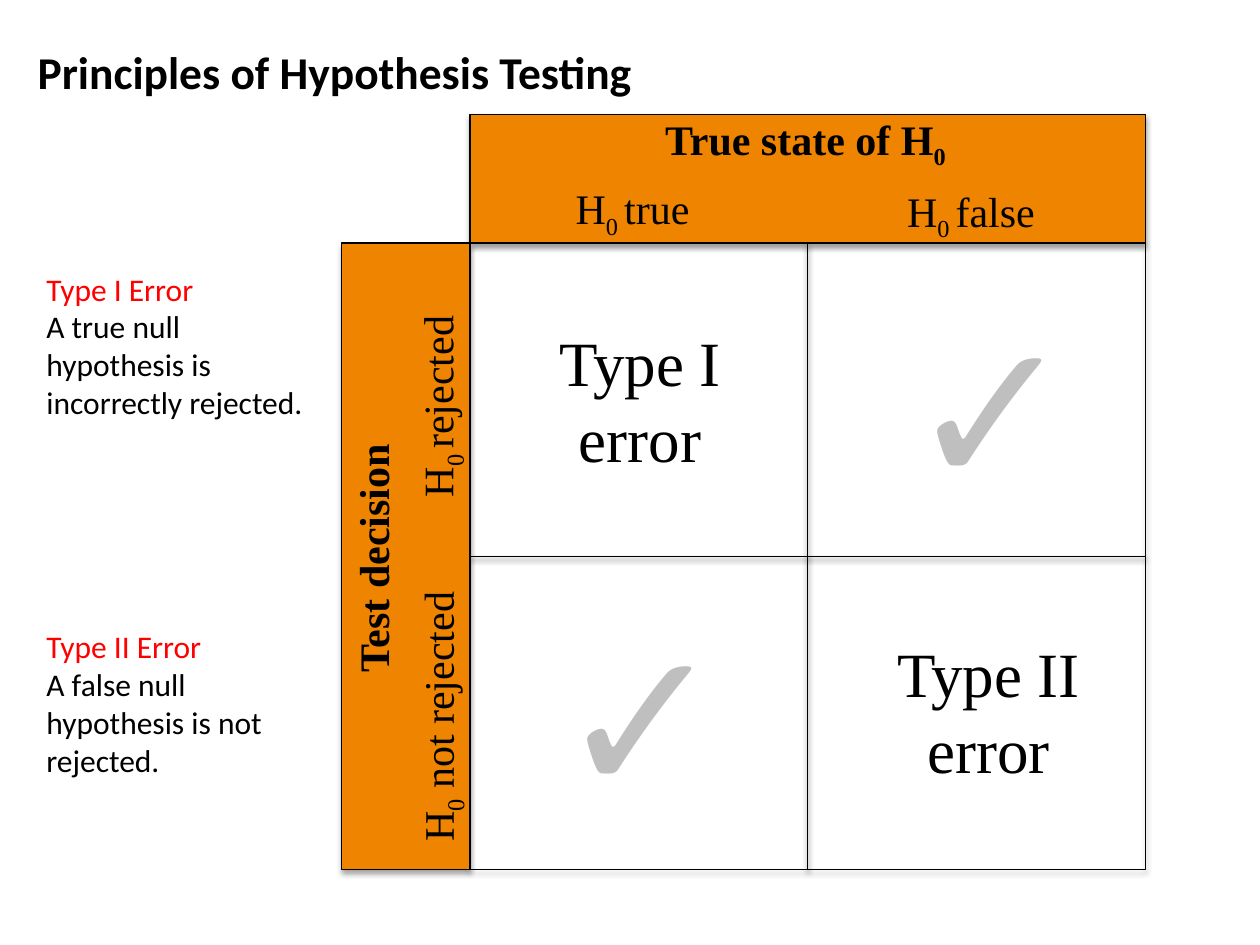
from dataclasses import dataclass

from lxml import etree
from pptx import Presentation
from pptx.dml.color import RGBColor
from pptx.enum.shapes import MSO_SHAPE
from pptx.enum.text import MSO_ANCHOR, PP_ALIGN
from pptx.oxml.ns import qn
from pptx.util import Inches, Pt

RECTANGLE = MSO_SHAPE.RECTANGLE
MIDDLE = MSO_ANCHOR.MIDDLE
TOP = MSO_ANCHOR.TOP
CENTER = PP_ALIGN.CENTER
LEFT = PP_ALIGN.LEFT
BLANK_LAYOUT = 6


@dataclass(frozen=True)
class Theme:
    black: RGBColor = RGBColor(0x00, 0x00, 0x00)
    orange: RGBColor = RGBColor(0xEF, 0x84, 0x00)
    grey: RGBColor = RGBColor(0xBF, 0xBF, 0xBF)
    red: RGBColor = RGBColor(0xFF, 0x00, 0x00)
    sans: str = "Calibri"
    serif: str = "Times New Roman"
    symbol: str = "Arial"
    title_size: int = 26
    header_size: int = 24
    cell_size: int = 36
    note_size: int = 18
    check_size: int = 115


THEME = Theme()
GRID_LEFT, GRID_TOP = 3.73, 1.93
CELL_WIDTH, CELL_HEIGHT = 2.68, 2.485
BAND = 1.02


def add_shadow(shape):
    shape.shadow.inherit = False
    effects = shape._element.spPr.find(qn("a:effectLst"))
    shadow = etree.SubElement(
        effects, qn("a:outerShdw"), blurRad=str(Pt(3.1)), dist=str(Pt(1.8)),
        dir="5400000", rotWithShape="0")
    color = etree.SubElement(shadow, qn("a:srgbClr"), val=str(THEME.black))
    etree.SubElement(color, qn("a:alpha"), val="35000")


def add_box(slide, left, top, width, height, fill=None):
    shape = slide.shapes.add_shape(
        RECTANGLE, Inches(left), Inches(top), Inches(width), Inches(height))
    if fill is None:
        shape.fill.background()
    else:
        shape.fill.solid()
        shape.fill.fore_color.rgb = fill
    shape.line.color.rgb = THEME.black
    shape.line.width = Pt(0.75)
    add_shadow(shape)


def format_run(run, font, size, color, bold=False):
    run.font.name = font
    run.font.size = Pt(size)
    run.font.color.rgb = color
    run.font.bold = bold


def add_text(slide, place, text, font, size, color=THEME.black, bold=False,
             align=LEFT, anchor=TOP, wrap=False):
    shape = slide.shapes.add_textbox(*map(Inches, place))
    frame = shape.text_frame
    frame.word_wrap = wrap
    frame.vertical_anchor = anchor
    frame.text = text
    for paragraph in frame.paragraphs:
        paragraph.alignment = align
        for run in paragraph.runs:
            format_run(run, font, size, color, bold)
    return shape


def add_header(slide, place, before, subscript="", after="", bold=False,
               rotation=0):
    shape = add_text(slide, place, before, THEME.serif, THEME.header_size,
                     bold=bold)
    shape.rotation = rotation
    paragraph = shape.text_frame.paragraphs[0]
    for text, baseline in ((subscript, "-25000"), (after, "0")):
        if text:
            run = paragraph.add_run()
            run.text = text
            format_run(run, THEME.serif, THEME.header_size, THEME.black, bold)
            run._r.get_or_add_rPr().set("baseline", baseline)


def add_check(slide, left, top):
    add_text(slide, (left, top, 1.42, 2.04), "✓", THEME.symbol,
             THEME.check_size, THEME.grey, bold=True)


def add_error(slide, place, text):
    add_text(slide, place, text, THEME.serif, THEME.cell_size, align=CENTER)


def add_note(slide, top, heading, definition):
    shape = add_text(slide, (0.27, top, 2.25, 1.31),
                     f"{heading}\n{definition}", THEME.sans, THEME.note_size,
                     wrap=True)
    heading_run = shape.text_frame.paragraphs[0].runs[0]
    heading_run.font.color.rgb = THEME.red


def add_grid(slide):
    for row in range(2):
        for column in range(2):
            add_box(slide, GRID_LEFT + column * CELL_WIDTH,
                    GRID_TOP + row * CELL_HEIGHT, CELL_WIDTH, CELL_HEIGHT)
    add_box(slide, GRID_LEFT, GRID_TOP - BAND, 2 * CELL_WIDTH, BAND,
            THEME.orange)
    add_box(slide, GRID_LEFT - BAND, GRID_TOP, BAND, 2 * CELL_HEIGHT,
            THEME.orange)


def main():
    presentation = Presentation()
    presentation.slide_width = Inches(10)
    presentation.slide_height = Inches(7.5)
    slide = presentation.slides.add_slide(
        presentation.slide_layouts[BLANK_LAYOUT])

    add_text(slide, (0.2, 0.14, 9.61, 0.86),
             "Principles of Hypothesis Testing", THEME.sans, THEME.title_size,
             bold=True, anchor=MIDDLE, wrap=True)
    add_check(slide, 4.33, 4.65)
    add_check(slide, 7.1, 2.21)
    add_grid(slide)

    add_header(slide, (5.18, 0.85, 2.47, 0.5), "True state of H", "0",
               bold=True)
    add_header(slide, (4.47, 1.4, 1.16, 0.5), "H", "0 ", "true")
    add_header(slide, (7.1, 1.42, 1.28, 0.5), "H", "0 ", "false")
    add_header(slide, (1.94, 4.17, 2.03, 0.5), "Test decision", bold=True,
               rotation=270)
    add_header(slide, (2.36, 5.42, 2.22, 0.5), "H", "0", " not rejected",
               rotation=270)
    add_header(slide, (2.61, 2.94, 1.71, 0.5), "H", "0 ", "rejected",
               rotation=270)

    add_error(slide, (4.33, 2.52, 1.5, 1.31), "Type I\nerror")
    add_error(slide, (7.01, 4.99, 1.67, 1.31), "Type II\nerror")
    add_note(slide, 2.09, "Type I Error",
             "A true null hypothesis is incorrectly rejected.")
    add_note(slide, 4.93, "Type II Error",
             "A false null hypothesis is not rejected.")
    presentation.save("out.pptx")


if __name__ == "__main__":
    main()
